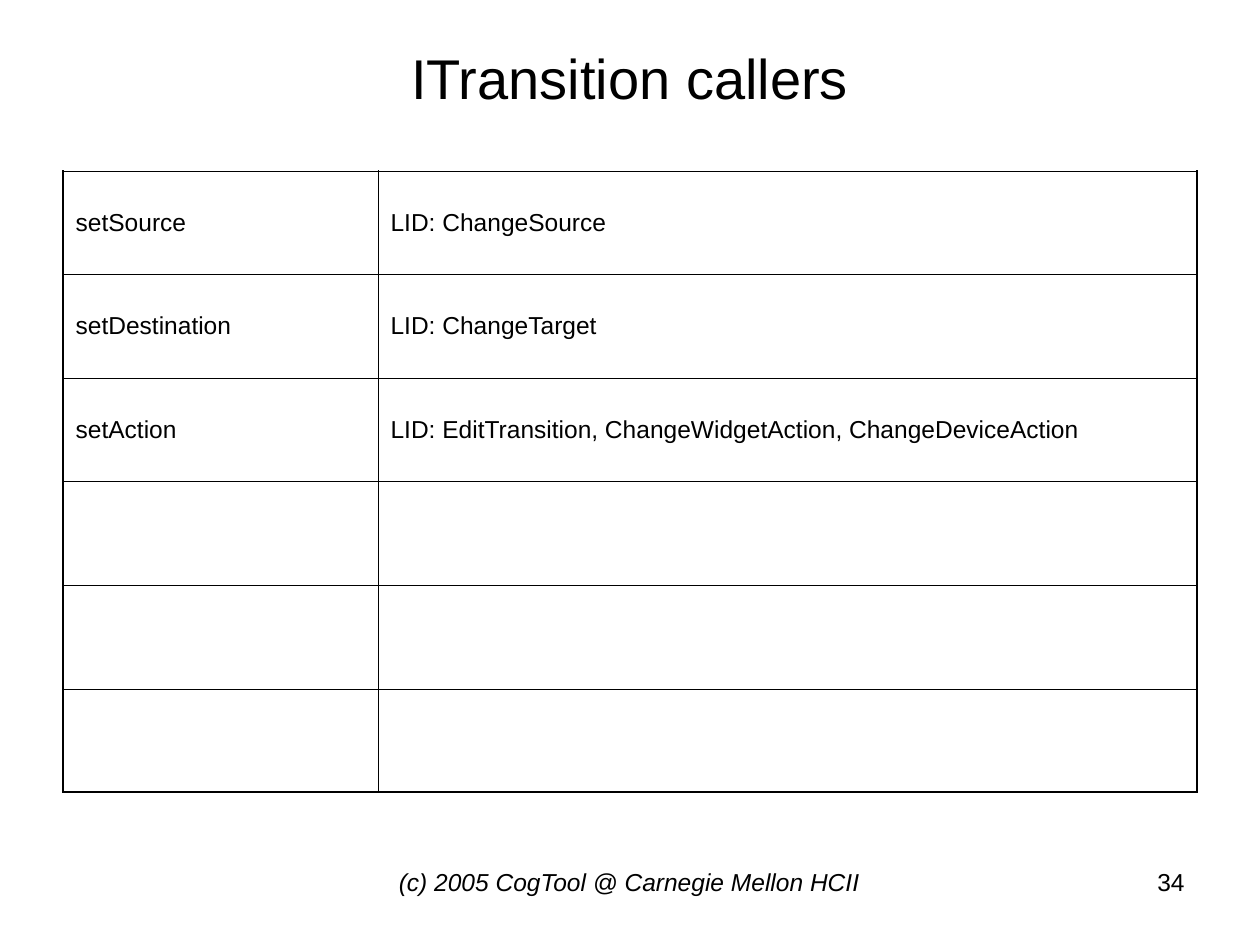
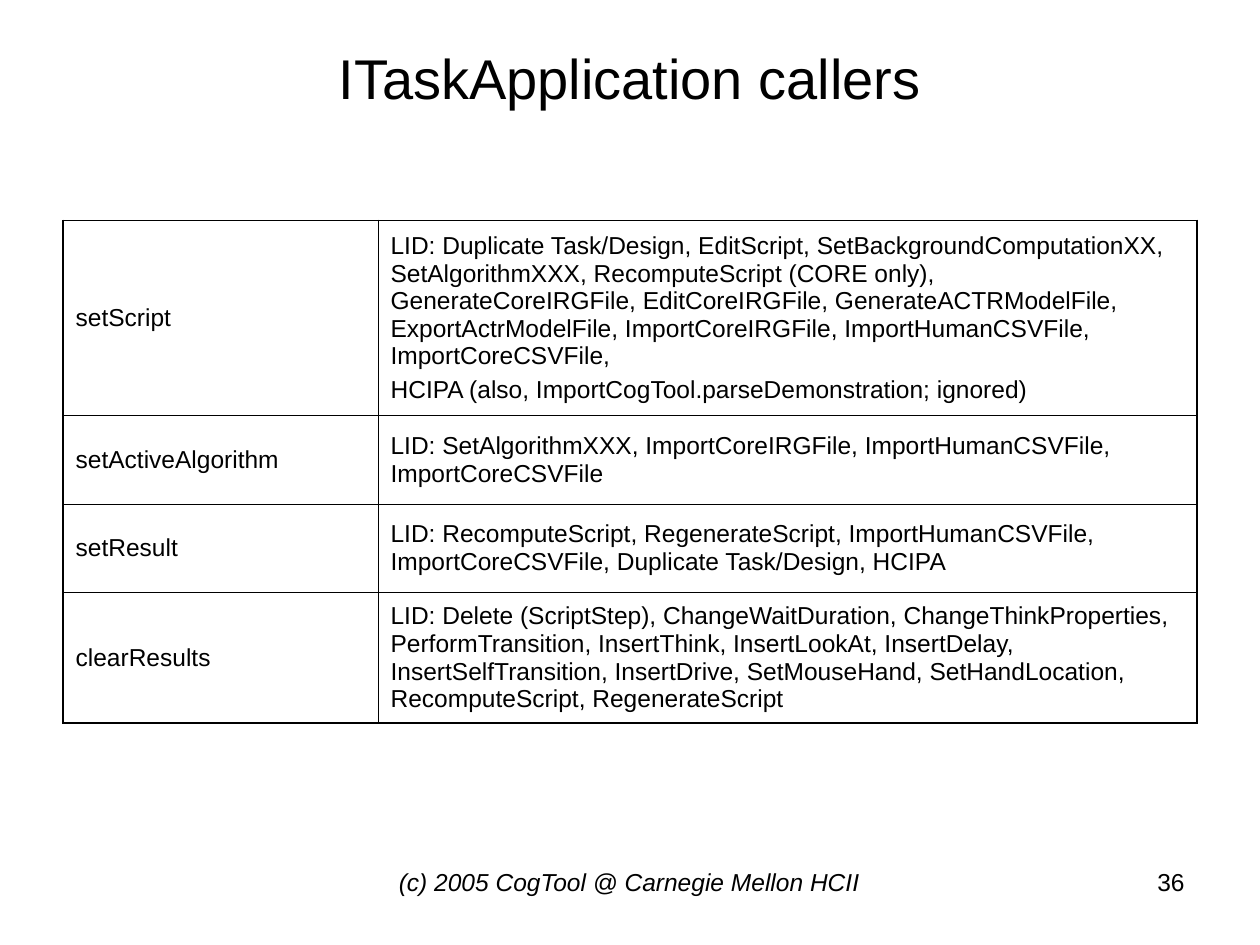
from dataclasses import dataclass

import pptx
import pptx.dml.color
import pptx.enum.text
import pptx.oxml
import pptx.oxml.ns
import pptx.util
from pptx.dml.color import RGBColor
from pptx.util import Inches

# Shared style
BLACK = RGBColor(0x00, 0x00, 0x00)
WHITE = RGBColor(0xFF, 0xFF, 0xFF)
FONT = "Arial"
TITLE_SIZE = pptx.util.Pt(32)
TEXT_SIZE = pptx.util.Pt(14)
PARAGRAPH_GAP = pptx.util.Pt(3.5)
OUTER_LINE = pptx.util.Pt(1.08)
INNER_LINE = pptx.util.Pt(0.45)
COLUMN_WIDTHS = (Inches(2.5), Inches(6.5))
MARGIN = Inches(0.5)
FOOTER_TOP, FOOTER_HEIGHT = Inches(6.83), Inches(0.52)
FOOTER = "(c) 2005 CogTool @ Carnegie Mellon HCII"
ALIGN = pptx.enum.text.PP_ALIGN
ANCHOR = pptx.enum.text.MSO_ANCHOR


@dataclass(frozen=True)
class CallerRow:
    method: str = ""
    callers: str = ""
    height: float = 0.82


@dataclass(frozen=True)
class CallerSlide:
    title: str
    number: int
    table_top: float
    rows: tuple[CallerRow, ...]


SLIDES = (
    CallerSlide("ITransition callers", 34, 1.36, (
        CallerRow("setSource", "LID: ChangeSource"),
        CallerRow("setDestination", "LID: ChangeTarget"),
        CallerRow("setAction", "LID: EditTransition, ChangeWidgetAction, ChangeDeviceAction"),
        CallerRow(height=0.83),
        CallerRow(),
        CallerRow(),
    )),
    CallerSlide("ITaskApplication callers", 36, 1.75, (
        CallerRow(
            "setScript",
            "LID: Duplicate Task/Design, EditScript, SetBackgroundComputationXX, "
            "SetAlgorithmXXX, RecomputeScript (CORE only), GenerateCoreIRGFile, "
            "EditCoreIRGFile, GenerateACTRModelFile, ExportActrModelFile, "
            "ImportCoreIRGFile, ImportHumanCSVFile, ImportCoreCSVFile,\n"
            "HCIPA (also, ImportCogTool.parseDemonstration; ignored)", 1.55),
        CallerRow(
            "setActiveAlgorithm",
            "LID: SetAlgorithmXXX, ImportCoreIRGFile, ImportHumanCSVFile, "
            "ImportCoreCSVFile", 0.7),
        CallerRow(
            "setResult",
            "LID: RecomputeScript, RegenerateScript, ImportHumanCSVFile, "
            "ImportCoreCSVFile, Duplicate Task/Design, HCIPA", 0.7),
        CallerRow(
            "clearResults",
            "LID: Delete (ScriptStep), ChangeWaitDuration, ChangeThinkProperties, "
            "PerformTransition, InsertThink, InsertLookAt, InsertDelay, "
            "InsertSelfTransition, InsertDrive, SetMouseHand, SetHandLocation, "
            "RecomputeScript, RegenerateScript", 1.04),
    )),
)


def set_text(tf, text: str, align=ALIGN.LEFT, size=TEXT_SIZE, italic: bool = False) -> None:
    """Write one paragraph per line of text, in the shared font."""
    tf.text = text
    font_format = {"name": FONT, "size": size, "italic": italic, "bold": False}
    for i, p in enumerate(tf.paragraphs):
        p.alignment = align
        p.space_before = PARAGRAPH_GAP if i else 0
        for name, value in font_format.items():
            setattr(p.font, name, value)
        p.font.color.rgb = BLACK
        for r in p.runs:
            r.font.color.rgb = BLACK


def set_borders(cell, widths: dict[str, int]) -> None:
    tc_pr = cell._tc.get_or_add_tcPr()
    for side, width in widths.items():
        tc_pr.append(pptx.oxml.parse_xml(
            f'<a:ln{side} {pptx.oxml.ns.nsdecls("a")} w="{width}"><a:solidFill>'
            f'<a:srgbClr val="{BLACK}"/></a:solidFill></a:ln{side}>'))


def add_title(s, text: str) -> None:
    sp = s.shapes.title
    place = {"left": MARGIN, "top": Inches(0.3), "width": Inches(9), "height": Inches(0.62)}
    for name, value in place.items():
        setattr(sp, name, value)
    tf = sp.text_frame
    tf.auto_size = pptx.enum.text.MSO_AUTO_SIZE.NONE
    tf.vertical_anchor = ANCHOR.MIDDLE
    set_text(tf, text, ALIGN.CENTER, TITLE_SIZE)


def add_caller_table(s, top: float, rows: tuple[CallerRow, ...]) -> None:
    height = Inches(sum(row.height for row in rows))
    table = s.shapes.add_table(
        len(rows), len(COLUMN_WIDTHS), MARGIN, Inches(top), sum(COLUMN_WIDTHS), height).table
    table.first_row = table.horz_banding = False
    for column, width in zip(table.columns, COLUMN_WIDTHS):
        column.width = width
    last_row, last_col = len(rows) - 1, len(COLUMN_WIDTHS) - 1
    for i, row in enumerate(rows):
        table.rows[i].height = Inches(row.height)
        for j, text in enumerate((row.method, row.callers)):
            cell = table.cell(i, j)
            cell.vertical_anchor = ANCHOR.MIDDLE
            set_text(cell.text_frame, text)
            on_edge = {"L": j == 0, "R": j == last_col, "T": i == 0, "B": i == last_row}
            set_borders(cell, {side: OUTER_LINE if edge else INNER_LINE
                               for side, edge in on_edge.items()})
            cell.fill.solid()
            cell.fill.fore_color.rgb = WHITE


def add_footer_text(s, left: float, width: float, text: str, align, italic: bool = False) -> None:
    sp = s.shapes.add_textbox(Inches(left), FOOTER_TOP, Inches(width), FOOTER_HEIGHT)
    sp.text_frame.word_wrap = True
    set_text(sp.text_frame, text, align, italic=italic)


def main() -> None:
    prs = pptx.Presentation()
    prs.slide_width, prs.slide_height = Inches(10), Inches(7.5)
    title_only = prs.slide_layouts[5]
    for page in SLIDES:
        s = prs.slides.add_slide(title_only)
        add_title(s, page.title)
        add_caller_table(s, page.table_top, page.rows)
        add_footer_text(s, 2.83, 4.33, FOOTER, ALIGN.CENTER, italic=True)
        add_footer_text(s, 7.17, 2.33, str(page.number), ALIGN.RIGHT)
    prs.save("out.pptx")


if __name__ == "__main__":
    main()
